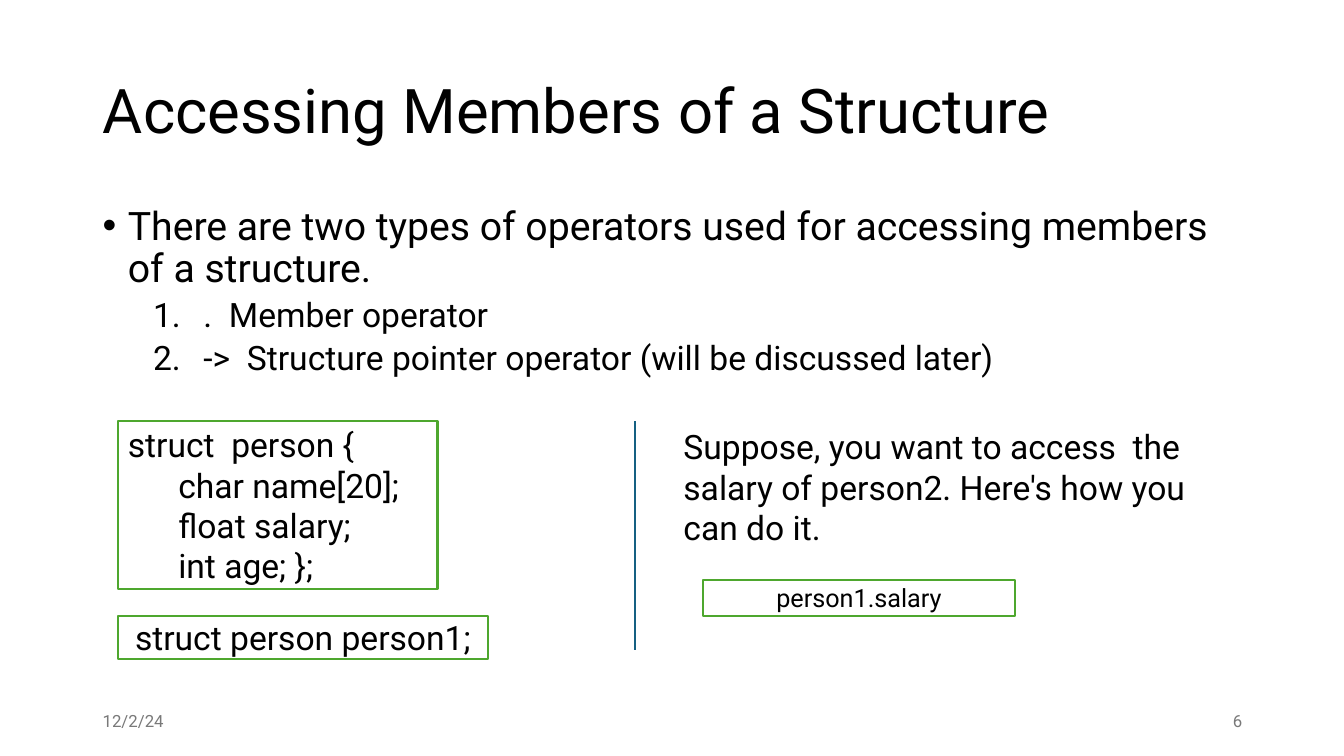
from lxml.etree import SubElement
from pptx import Presentation
from pptx.dml.color import RGBColor
from pptx.enum.shapes import MSO_CONNECTOR, MSO_SHAPE
from pptx.enum.text import MSO_ANCHOR, PP_ALIGN
from pptx.oxml.ns import qn
from pptx.util import Emu, Pt

PX = 9144
FONT = "Roboto"
BLACK = RGBColor(0x00, 0x00, 0x00)
WHITE = RGBColor(0xFF, 0xFF, 0xFF)
GREEN = RGBColor(0x4E, 0xA7, 0x2E)
BLUE = RGBColor(0x15, 0x60, 0x82)
GRAY = RGBColor(0x79, 0x79, 0x79)


def px(n):
    """Turn px into EMU."""
    return Emu(n * PX)


def add_run(p, text, size, color=BLACK):
    """Add one formatted run to a paragraph."""
    r = p.add_run()
    r.text = text
    r.font.name = FONT
    r.font.size = Pt(size)
    r.font.color.rgb = color


def set_indent(p, left, first=0, level=0):
    """Set the level, left margin and first-line indent of a paragraph."""
    p.level = level
    pPr = p._p.get_or_add_pPr()
    pPr.set("marL", str(px(left)))
    pPr.set("indent", str(px(first)))
    return pPr


def add_title(s, text):
    """Place and fill the title placeholder."""
    sp = s.shapes.title
    sp.left, sp.top, sp.width, sp.height = px(92), px(40), px(1150), px(145)
    tf = sp.text_frame
    tf.vertical_anchor = MSO_ANCHOR.MIDDLE
    p = tf.paragraphs[0]
    p.alignment = PP_ALIGN.LEFT
    p.line_spacing = 0.9
    add_run(p, text, 44)


def add_text(s, x, y, w, h, text="", size=24, color=BLACK,
             align=PP_ALIGN.LEFT, anchor=MSO_ANCHOR.TOP):
    """Add a wrapping text box and return its text frame."""
    tf = s.shapes.add_textbox(px(x), px(y), px(w), px(h)).text_frame
    tf.word_wrap = True
    tf.vertical_anchor = anchor
    if text:
        p = tf.paragraphs[0]
        p.alignment = align
        add_run(p, text, size, color)
    return tf


def add_operators(s, intro, operators):
    """Add the bulleted sentence and its numbered operators."""
    tf = add_text(s, 92, 200, 1150, 476)
    p = tf.paragraphs[0]
    p.line_spacing = 0.9
    p.space_before = Pt(10)
    pPr = set_indent(p, 25, -25)
    SubElement(pPr, qn("a:buFont"), typeface="Arial")
    SubElement(pPr, qn("a:buChar"), char="•")
    add_run(p, intro, 28)
    for text in operators:
        p = tf.add_paragraph()
        p.line_spacing = 0.9
        p.space_before = Pt(5)
        pPr = set_indent(p, 100, -50, level=1)
        SubElement(pPr, qn("a:buFont"), typeface=FONT)
        SubElement(pPr, qn("a:buAutoNum"), type="arabicPeriod")
        add_run(p, text, 24)


def add_code(s, x, y, w, h, lines, size=24, align=PP_ALIGN.CENTER):
    """Add a green-framed code box, indenting every line after the first."""
    sp = s.shapes.add_shape(MSO_SHAPE.RECTANGLE, px(x), px(y), px(w), px(h))
    sp.shadow.inherit = False
    sp.fill.solid()
    sp.fill.fore_color.rgb = WHITE
    sp.line.color.rgb = GREEN
    sp.line.width = Pt(1.5)
    tf = sp.text_frame
    tf.word_wrap = True
    tf.vertical_anchor = MSO_ANCHOR.MIDDLE
    for i, text in enumerate(lines):
        p = tf.add_paragraph() if i else tf.paragraphs[0]
        p.alignment = align
        if i:
            set_indent(p, 50, level=1)
        add_run(p, text, size)


def add_divider(s, x, top, bottom):
    """Add the vertical line between the two halves."""
    line = s.shapes.add_connector(MSO_CONNECTOR.STRAIGHT,
                                  px(x), px(top), px(x), px(bottom))
    line.line.color.rgb = BLUE
    line.line.width = Pt(1.5)
    SubElement(line._element.spPr, qn("a:effectLst"))


def main():
    """Build and save the slide."""
    prs = Presentation()
    prs.slide_width, prs.slide_height = px(1333), px(750)
    s = prs.slides.add_slide(prs.slide_layouts[5])
    add_title(s, "Accessing Members of a Structure")
    add_operators(
        s,
        "There are two types of operators used for accessing members of a structure.",
        [".  Member operator",
         "->  Structure pointer operator (will be discussed later)"])
    add_code(s, 117, 418, 317, 166,
             ["struct  person {", "char name[20];", "float salary;", "int age; };"],
             align=PP_ALIGN.LEFT)
    add_code(s, 117, 611, 367, 43, ["struct person person1;"])
    add_divider(s, 630, 418, 645)
    add_text(s, 668, 418, 565, 131,
             "Suppose, you want to access  the salary of person2. "
             "Here's how you can do it.")
    add_code(s, 697, 575, 310, 36, ["person1.salary"], size=18)
    add_text(s, 92, 695, 300, 40, "12/2/24", 12, GRAY, anchor=MSO_ANCHOR.MIDDLE)
    add_text(s, 942, 695, 300, 40, "6", 12, GRAY, PP_ALIGN.RIGHT, MSO_ANCHOR.MIDDLE)
    prs.save("out.pptx")


if __name__ == "__main__":
    main()
